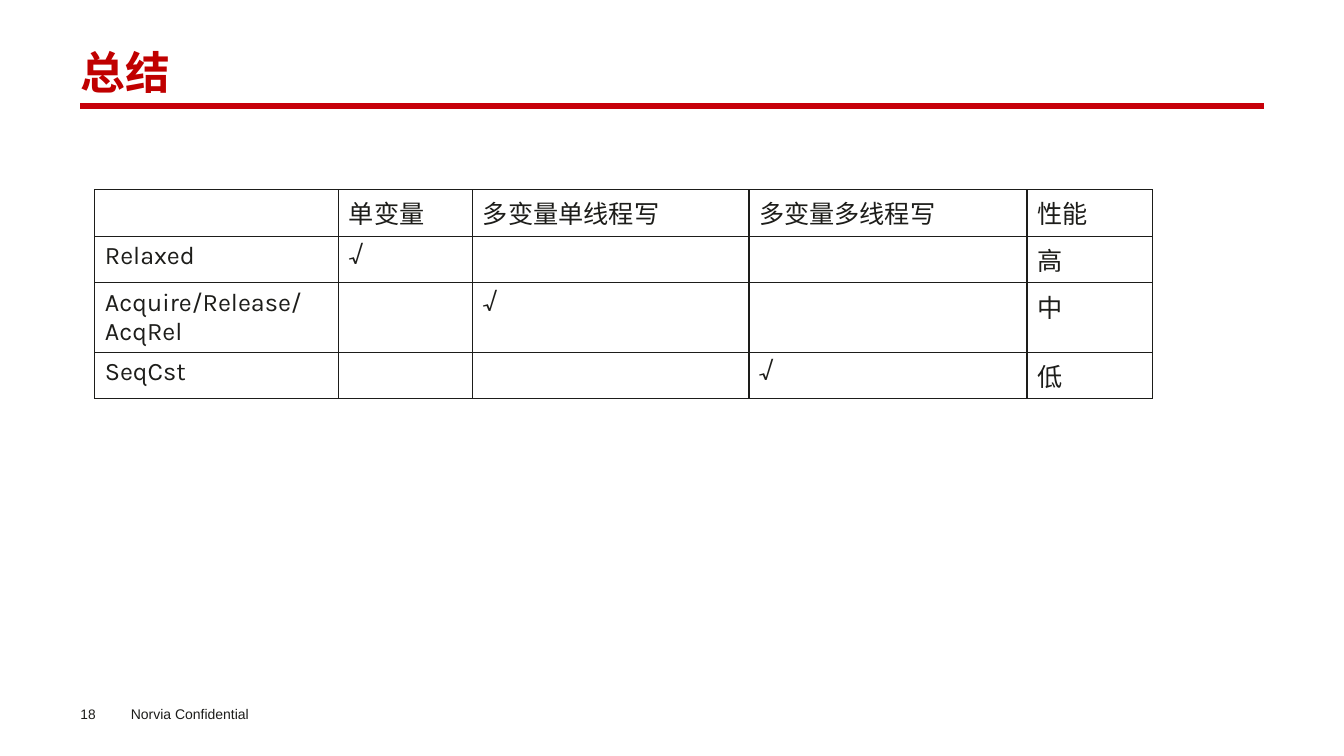
from dataclasses import dataclass

from lxml import etree
from pptx import Presentation
from pptx.dml.color import RGBColor
from pptx.enum.shapes import MSO_CONNECTOR
from pptx.enum.text import MSO_ANCHOR, MSO_AUTO_SIZE, PP_ALIGN
from pptx.oxml.ns import qn
from pptx.util import Cm, Pt

STRAIGHT = MSO_CONNECTOR.STRAIGHT
TOP = MSO_ANCHOR.TOP
LEFT = PP_ALIGN.LEFT
NO_FIT = MSO_AUTO_SIZE.NONE
TITLE_ONLY = 5


@dataclass(frozen=True)
class Theme:
    title_color: str = "C00000"
    rule_color: str = "C7000A"
    table_color: str = "1D1D1A"
    footer_color: str = "1D1D1B"
    body_font: str = "Karla"
    footer_font: str = "Arial"
    title_size: float = 32
    title_leading: float = 34.3
    table_size: float = 18
    footer_size: float = 10
    number_size: float = 9.8
    rule_width: float = 4.5
    border_width: float = 1


THEME = Theme()

COLUMN_WIDTHS = [6.15, 3.38, 6.96, 7.01, 3.17]
ROW_HEIGHT = 1.04
ORDERING_ROWS = [
    ["", "单变量", "多变量单线程写", "多变量多线程写", "性能"],
    ["Relaxed", "√", "", "", "高"],
    ["Acquire/Release/AcqRel", "", "√", "", "中"],
    ["SeqCst", "", "", "√", "低"],
]


def write_text(frame, text, *, size, color, font=THEME.body_font, bold=False,
               leading=None, inset=None):
    frame.word_wrap = True
    frame.vertical_anchor = TOP
    if inset is not None:
        frame.margin_left = frame.margin_right = Cm(inset)
        frame.margin_top = frame.margin_bottom = Cm(inset)
    paragraph = frame.paragraphs[0]
    paragraph.alignment = LEFT
    if leading:
        paragraph.line_spacing = Pt(leading)
    run = paragraph.add_run()
    run.text = text
    run.font.name = font
    run.font.size = Pt(size)
    run.font.bold = bold
    run.font.color.rgb = RGBColor.from_string(color)


def add_border(cell):
    properties = cell._tc.get_or_add_tcPr()
    for index, side in enumerate(("lnL", "lnR", "lnT", "lnB")):
        line = etree.Element(qn(f"a:{side}"), w=str(Pt(THEME.border_width)))
        fill = etree.SubElement(line, qn("a:solidFill"))
        etree.SubElement(fill, qn("a:srgbClr"), val=THEME.table_color)
        properties.insert(index, line)


def add_header(slide, left, top, width, height):
    # Title
    title = slide.shapes.title
    title.left, title.top = Cm(left), Cm(top)
    title.width, title.height = Cm(width), Cm(height)
    title.text_frame.auto_size = NO_FIT
    write_text(title.text_frame, "总结", size=THEME.title_size, bold=True,
               color=THEME.title_color, leading=THEME.title_leading, inset=0)

    # Red rule under the title
    rule_y = Cm(top + 1.4)
    rule = slide.shapes.add_connector(
        STRAIGHT, Cm(left), rule_y, Cm(left + width), rule_y)
    rule.line.color.rgb = RGBColor.from_string(THEME.rule_color)
    rule.line.width = Pt(THEME.rule_width)
    etree.SubElement(rule._element.spPr, qn("a:effectLst"))


def add_ordering_table(slide, left, top):
    row_count, column_count = len(ORDERING_ROWS), len(COLUMN_WIDTHS)
    table = slide.shapes.add_table(
        row_count, column_count, Cm(left), Cm(top),
        Cm(sum(COLUMN_WIDTHS)), Cm(ROW_HEIGHT * row_count)).table
    table.first_row = table.horz_banding = False
    for column, width in zip(table.columns, COLUMN_WIDTHS):
        column.width = Cm(width)
    for row, labels in zip(table.rows, ORDERING_ROWS):
        row.height = Cm(ROW_HEIGHT)
        for cell, label in zip(row.cells, labels):
            cell.fill.background()
            add_border(cell)
            if label:
                write_text(cell.text_frame, label, size=THEME.table_size,
                           color=THEME.table_color)


def add_footer(slide, left, top):
    # Page number
    number = slide.shapes.add_textbox(Cm(left), Cm(top + 0.13), Cm(1.4), Cm(0.41))
    write_text(number.text_frame, "18", size=THEME.number_size, inset=0,
               color=THEME.footer_color, font=THEME.footer_font)

    # Confidentiality note
    note = slide.shapes.add_textbox(Cm(left + 1.02), Cm(top), Cm(4.06), Cm(0.69))
    write_text(note.text_frame, "Norvia Confidential", size=THEME.footer_size,
               color=THEME.footer_color, font=THEME.footer_font)


def main():
    deck = Presentation()
    deck.slide_width, deck.slide_height = Cm(33.88), Cm(19.05)
    slide = deck.slides.add_slide(deck.slide_layouts[TITLE_ONLY])
    add_header(slide, 2.03, 1.27, 29.83, 2.77)
    add_ordering_table(slide, 2.39, 4.78)
    add_footer(slide, 2.03, 17.65)
    deck.save("out.pptx")


if __name__ == "__main__":
    main()
